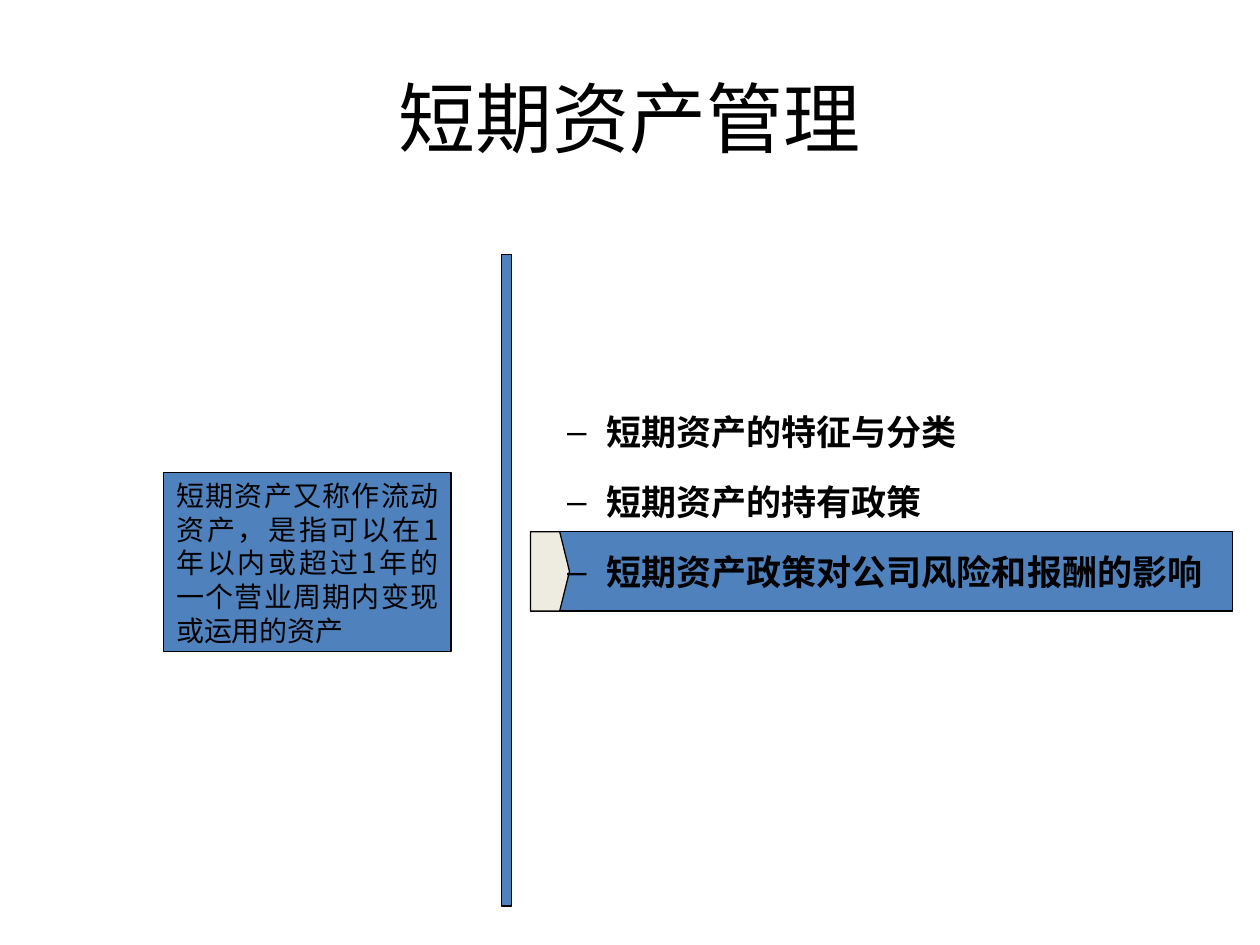
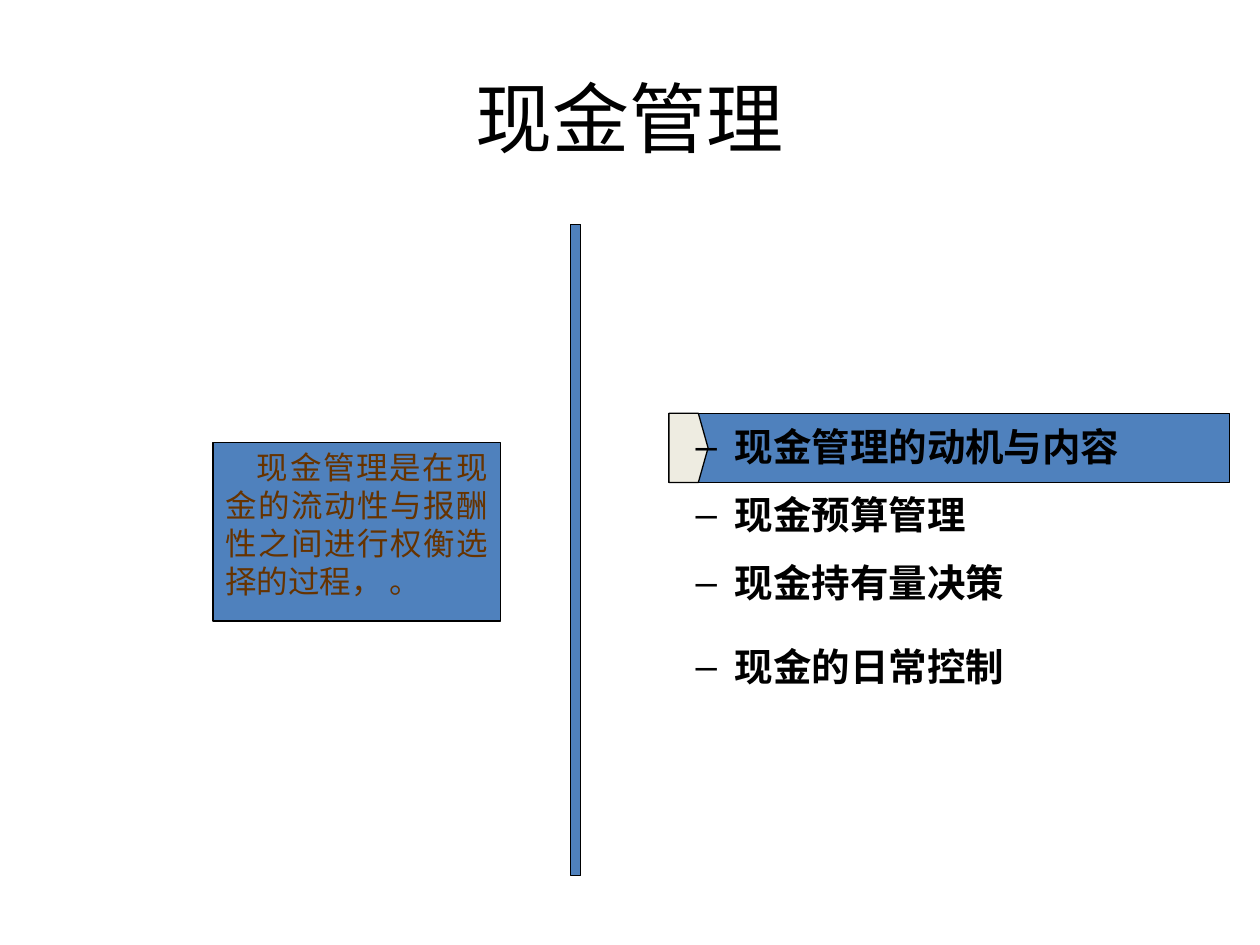
from pptx import Presentation
from pptx.dml.color import RGBColor
from pptx.enum.shapes import MSO_SHAPE as Shape
from pptx.enum.text import MSO_ANCHOR as Anchor, MSO_AUTO_SIZE as AutoSize, PP_ALIGN as Align
from pptx.oxml.ns import qn
from pptx.util import Inches, Pt

BLUE, CREAM, BLACK, BROWN = "4F81BD", "EEECE1", "000000", "663300"
TITLE_FONT, TEXT_FONT = "Calibri", "Noto Sans CJK SC"
TITLE_AREA = (0.5, 0.3, 9, 1.25)
BAR_SIZE = (0.08, 5.17)
NOTE_SIZE = (2.28, 1.42)

SLIDES = [
    {
        "title": "短期资产管理",
        "topics": ["短期资产的特征与分类", "短期资产的持有政策", "短期资产政策对公司风险和报酬的影响"],
        "topic_area": (3.9, 3.04, 6.1, 4.71),
        "topic_size": 20,
        "line_spacing": 1.5,
        "last_gap": 4,
        "highlight": (4.21, 4.22, 5.57, 0.63),
        "bar_at": (3.98, 2.02),
        "note": "短期资产又称作流动资产，是指可以在1年以内或超过1年的一个营业周期内变现或运用的资产",
        "note_at": (1.3, 3.75),
        "note_size": 16,
        "note_color": BLACK,
        "note_indent": 0,
    },
    {
        "title": "现金管理",
        "topics": ["现金管理的动机与内容", "现金预算管理", "现金持有量决策", "现金的日常控制"],
        "topic_area": (4.92, 3.2, 4.17, 2.46),
        "topic_size": 22,
        "line_spacing": 1.3,
        "last_gap": 14,
        "highlight": (5.31, 3.28, 4.45, 0.55),
        "bar_at": (4.53, 1.78),
        "note": "现金管理是在现金的流动性与报酬性之间进行权衡选择的过程， 。",
        "note_at": (1.69, 3.51),
        "note_size": 18,
        "note_color": BROWN,
        "note_indent": 0.25,
    },
]


def rgb(color):
    return RGBColor.from_string(color)


def place(shape, area):
    shape.left, shape.top, shape.width, shape.height = map(Inches, area)


def format_text(para, size, color, font, bold=False):
    """Format every run, using the font for Latin and Chinese text alike."""
    for span in para.runs:
        span.font.size = Pt(size)
        span.font.bold = bold
        span.font.name = font
        span.font.color.rgb = rgb(color)
        east_asian = span.font._element.makeelement(qn("a:ea"), {"typeface": font})
        span.font._element.find(qn("a:latin")).addnext(east_asian)


def add_block(shapes, kind, area, fill):
    block = shapes.add_shape(kind, *map(Inches, area))
    block.shadow.inherit = False
    block.fill.solid()
    block.fill.fore_color.rgb = rgb(fill)
    block.line.color.rgb = rgb(BLACK)
    block.line.width = Pt(0.75)
    return block


def add_highlight(page, area):
    group = page.shapes.add_group_shape()
    add_block(group.shapes, Shape.RECTANGLE, area, BLUE)
    left, top, _, height = area
    tab = add_block(group.shapes, Shape.PENTAGON, (left, top, 0.31, height), CREAM)
    tab.adjustments[0] = 0.25


def fill_topics(page, content):
    body = page.placeholders[1]
    page.shapes._spTree.append(body._element)  # bring in front of the highlight
    place(body, content["topic_area"])
    frame = body.text_frame
    frame.text = "\n".join(content["topics"])
    frame.auto_size = AutoSize.NONE
    for para in frame.paragraphs:
        para.level = 1
        para.line_spacing = content["line_spacing"]
        para.space_before = Pt(content["topic_size"] * 0.2)
        format_text(para, content["topic_size"], BLACK, TEXT_FONT, bold=True)
    frame.paragraphs[0].space_before = Pt(0)
    frame.paragraphs[-1].space_before = Pt(content["last_gap"])


def add_note(page, content):
    box = add_block(page.shapes, Shape.RECTANGLE, content["note_at"] + NOTE_SIZE, BLUE)
    frame = box.text_frame
    frame.text = content["note"]
    frame.word_wrap = True
    frame.vertical_anchor = Anchor.TOP
    para = frame.paragraphs[0]
    para.alignment = Align.JUSTIFY
    para._p.get_or_add_pPr().set("indent", str(Inches(content["note_indent"])))
    format_text(para, content["note_size"], content["note_color"], TEXT_FONT)


def fill_title(page, text):
    title = page.shapes.title
    page.shapes._spTree.append(title._element)
    place(title, TITLE_AREA)
    title.text_frame.text = text
    title.text_frame.vertical_anchor = Anchor.MIDDLE
    para = title.text_frame.paragraphs[0]
    para.alignment = Align.CENTER
    format_text(para, 44, BLACK, TITLE_FONT)


def build_page(deck, content):
    page = deck.slides.add_slide(deck.slide_layouts[1])
    add_highlight(page, content["highlight"])
    fill_topics(page, content)
    add_block(page.shapes, Shape.RECTANGLE, content["bar_at"] + BAR_SIZE, BLUE)
    add_note(page, content)
    fill_title(page, content["title"])


def main():
    deck = Presentation()
    deck.slide_width, deck.slide_height = Inches(10), Inches(7.5)
    for content in SLIDES:
        build_page(deck, content)
    deck.save("out.pptx")


if __name__ == "__main__":
    main()
